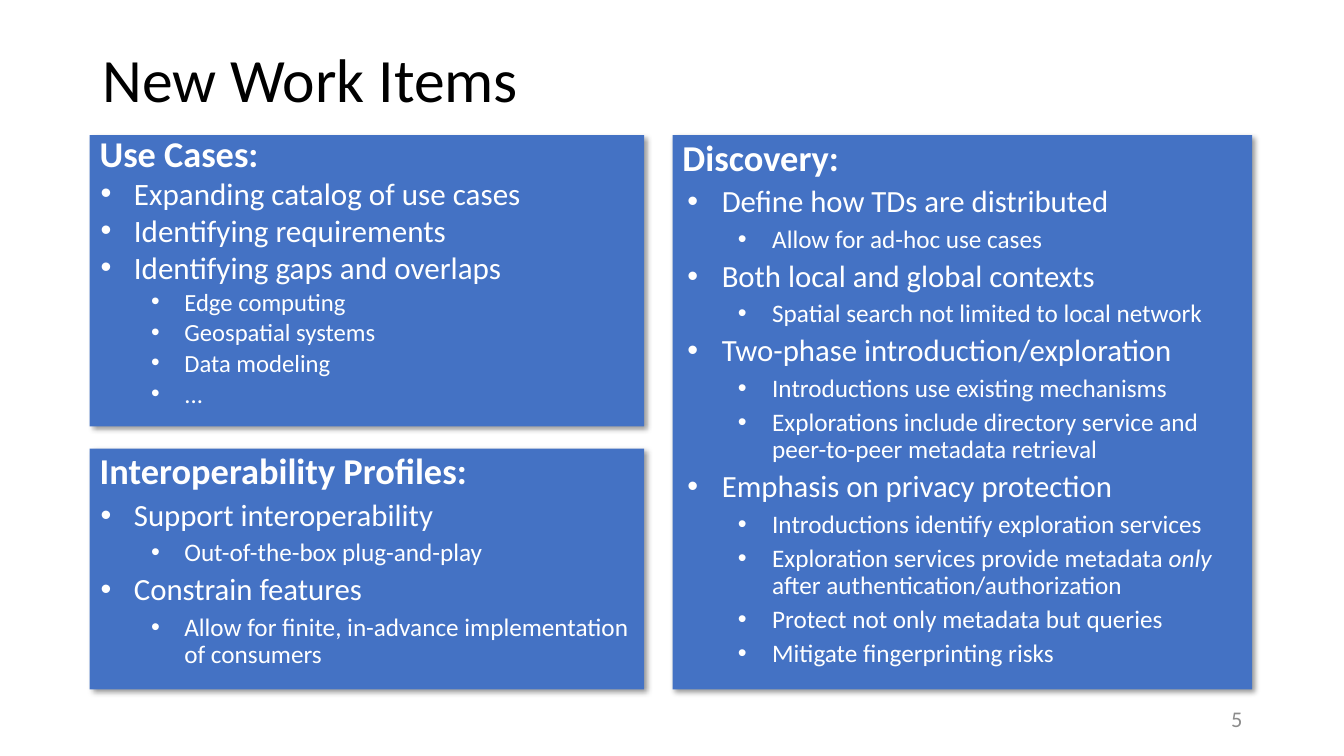
from dataclasses import dataclass

from lxml.etree import SubElement
from pptx import Presentation
from pptx.dml.color import RGBColor
from pptx.enum.shapes import MSO_SHAPE
from pptx.enum.text import MSO_ANCHOR, PP_ALIGN
from pptx.oxml.ns import qn
from pptx.util import Inches, Pt


@dataclass(frozen=True)
class Theme:
    """Colours and type sizes of the slide."""
    font: str = "Calibri"
    black: str = "000000"
    white: str = "FFFFFF"
    blue: str = "4472C4"
    grey: str = "8C8C8C"
    title: int = 44
    number: int = 16
    levels: tuple = (26, 22, 18)
    tight: tuple = (25.9, 22.2, 17.6)


THEME = Theme()

CASES = [
    (0, "Use Cases:"),
    (1, "Expanding catalog of use cases"),
    (1, "Identifying requirements"),
    (1, "Identifying gaps and overlaps"),
    (2, "Edge computing"),
    (2, "Geospatial systems"),
    (2, "Data modeling"),
    (2, "..."),
]
PROFILES = [
    (0, "Interoperability Profiles:"),
    (1, "Support interoperability"),
    (2, "Out-of-the-box plug-and-play"),
    (1, "Constrain features"),
    (2, "Allow for finite, in-advance implementation of consumers"),
]
DISCOVERY = [
    (0, "Discovery:"),
    (1, "Define how TDs are distributed"),
    (2, "Allow for ad-hoc use cases"),
    (1, "Both local and global contexts"),
    (2, "Spatial search not limited to local network"),
    (1, "Two-phase introduction/exploration"),
    (2, "Introductions use existing mechanisms"),
    (2, "Explorations include directory service and peer-to-peer metadata retrieval"),
    (1, "Emphasis on privacy protection"),
    (2, "Introductions identify exploration services"),
    (2, "Exploration services provide metadata ", "only",
     " after authentication/authorization"),
    (2, "Protect not only metadata but queries"),
    (2, "Mitigate fingerprinting risks"),
]


def add_run(para, text, size, color, bold=False, italic=False):
    """Add one styled run to a paragraph."""
    run = para.add_run()
    run.text = text
    font = run.font
    font.name, font.size = THEME.font, Pt(size)
    font.bold, font.italic = bold, italic
    font.color.rgb = RGBColor.from_string(color)


def add_label(slide, box, text, size, color, align=PP_ALIGN.LEFT):
    """Place one line of text, centred vertically in its box."""
    frame = slide.shapes.add_textbox(*map(Inches, box)).text_frame
    frame.word_wrap = True
    frame.vertical_anchor = MSO_ANCHOR.MIDDLE
    para = frame.paragraphs[0]
    para.alignment = align
    para.line_spacing = 0.9
    add_run(para, text, size, color)


def add_shadow(shape):
    """Give a shape a soft shadow to the lower right."""
    shape.shadow.inherit = False
    effects = shape._element.spPr.find(qn("a:effectLst"))
    outer = SubElement(effects, qn("a:outerShdw"), blurRad=str(Pt(4)),
                       dist=str(Pt(3)), dir=str(45 * 60000), algn="tl", rotWithShape="0")
    color = SubElement(outer, qn("a:srgbClr"), val=THEME.black)
    SubElement(color, qn("a:alpha"), val="40000")


def add_bullet(para, left, hang):
    """Indent a paragraph and hang a round bullet before it."""
    props = para._p.get_or_add_pPr()
    props.set("marL", str(Inches(left)))
    props.set("indent", str(-Inches(hang)))
    SubElement(props, qn("a:buFont"), typeface="Arial")
    SubElement(props, qn("a:buChar"), char="•")


def add_panel(slide, box, items, indent, hang, sizes=THEME.levels, spacing=0.9):
    """Draw a blue panel with a heading and two levels of bullets."""
    shape = slide.shapes.add_shape(MSO_SHAPE.RECTANGLE, *map(Inches, box))
    shape.fill.solid()
    shape.fill.fore_color.rgb = RGBColor.from_string(THEME.blue)
    shape.line.fill.background()
    add_shadow(shape)
    frame = shape.text_frame
    frame.word_wrap = True
    frame.vertical_anchor = MSO_ANCHOR.TOP
    for row, (level, *parts) in enumerate(items):
        para = frame.add_paragraph() if row else frame.paragraphs[0]
        para.alignment = PP_ALIGN.LEFT
        para.level = level
        para.line_spacing = spacing
        para.space_before = Pt(5 if row else 0)
        if level:
            add_bullet(para, indent + 0.5 * (level - 1), hang)
        for part, text in enumerate(parts):
            add_run(para, text, sizes[level], THEME.white,
                    bold=level == 0, italic=part % 2 == 1)


def add_items(slide, left, top, width, height):
    """Lay out the three panels in two columns within the box."""
    first, gap, upper, lower = 5.5, 0.28, 2.89, 2.39
    add_panel(slide, (left, top, first, upper), CASES, 0.34, 0.33, THEME.tight, 0.8)
    add_panel(slide, (left, top + height - lower, first, lower), PROFILES, 0.34, 0.33)
    shift = first + gap
    add_panel(slide, (left + shift, top, width - shift, height), DISCOVERY, 0.39, 0.34)


def main():
    """Build the slide and save it."""
    deck = Presentation()
    deck.slide_width, deck.slide_height = Inches(13.33), Inches(7.5)
    slide = deck.slides.add_slide(deck.slide_layouts[6])
    add_label(slide, (0.92, 0.4, 11.5, 0.84), "New Work Items", THEME.title, THEME.black)
    add_items(slide, 0.89, 1.34, 11.53, 5.5)
    add_label(slide, (9.42, 6.95, 3, 0.4), "5", THEME.number, THEME.grey, PP_ALIGN.RIGHT)
    deck.save("out.pptx")


if __name__ == "__main__":
    main()
